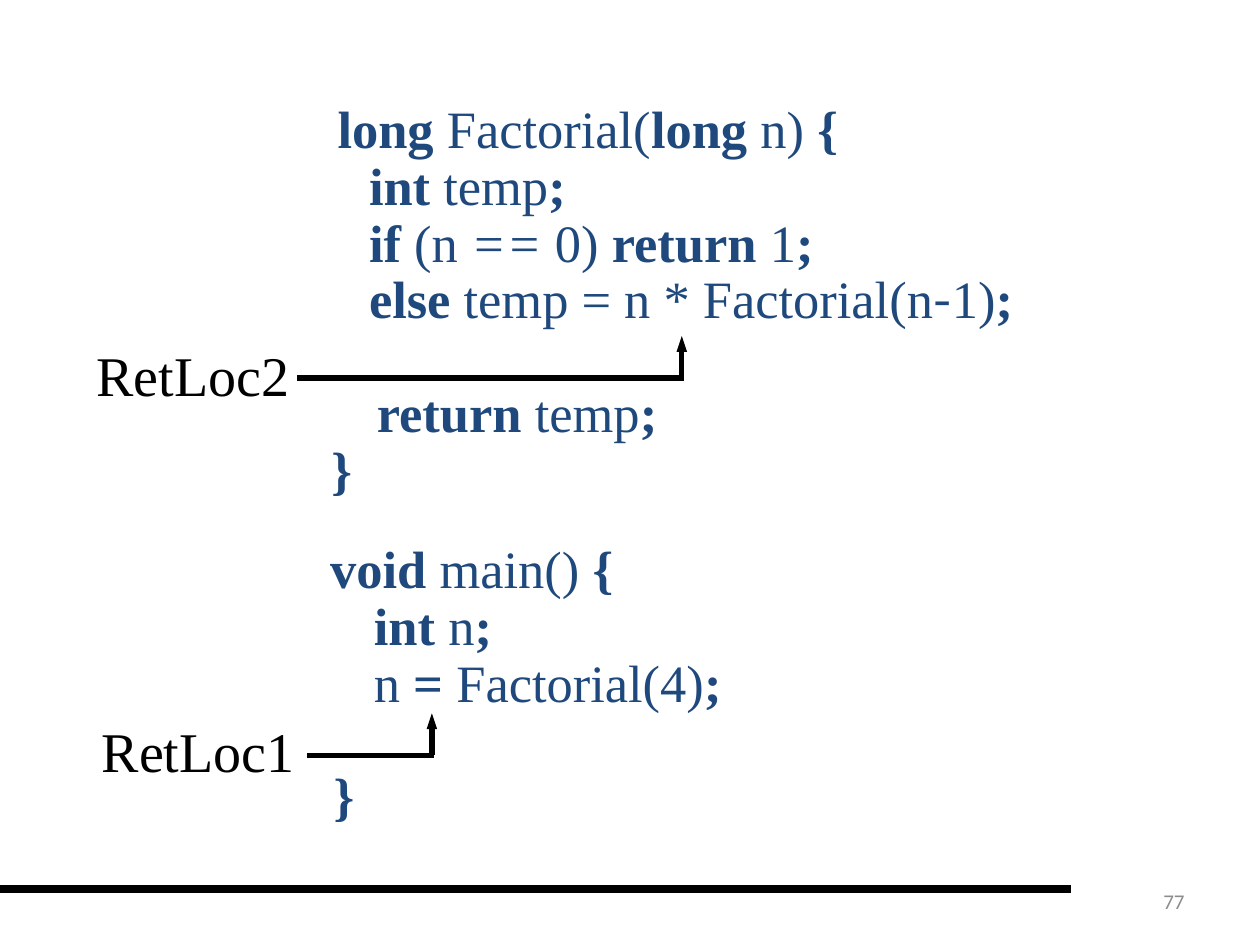
from lxml import etree
from pptx import Presentation
from pptx.dml.color import RGBColor
from pptx.enum import shapes, text
from pptx.oxml.ns import qn
from pptx.util import Pt

BLACK = RGBColor(0, 0, 0)
NAVY = RGBColor(0x1F, 0x49, 0x7D)
GREY = RGBColor(0x8C, 0x8C, 0x8C)
SERIF = "Times New Roman"
LINE_PITCH = 32.4

FACTORIAL = [
    (162, 0, [("long", "b"), (" Factorial(", ""), ("long", "b"), (" n) ", ""), ("{", "b")]),
    (180, 0, [("int", "b"), (" temp", ""), (";", "b")]),
    (180, 0, [("if", "b"), (" (n", ""), (" ==", "i"), (" 0) ", ""), ("return", "b"),
              (" 1", ""), (";", "b")]),
    (180, 0, [("else", "b"), (" temp = n * Factorial(n", ""), ("-", "cjk"),
              ("1)", ""), (";", "b")]),
    (184.5, 1, [("return", "b"), (" temp", ""), (";", "b")]),
    (158.5, 0, [("}", "b")]),
]
MAIN = [
    (148.5, 0, [("void ", "b"), ("main()", ""), (" {", "b")]),
    (173.5, 0, [("int ", "b"), ("n", ""), (";", "b")]),
    (173.5, 0, [("n", ""), (" = ", "b"), ("Factorial(4)", ""), (";", "b")]),
    (150.5, 1, [("}", "b")]),
]


def add_box(page, left, top, width, height, wrap=True):
    box = page.shapes.add_textbox(Pt(left), Pt(top), Pt(width), Pt(height))
    box.text_frame.word_wrap = wrap
    return box.text_frame


def add_span(para, words, size, color, font=SERIF):
    span = para.add_run()
    span.text = words
    span.font.size = Pt(size)
    span.font.name = font
    span.font.color.rgb = color
    return span


def add_code(page, left, top, width, height, inset, lines):
    frame = add_box(page, left, top, width, height)
    frame.margin_top = Pt(inset)
    for index, (indent, skipped, spans) in enumerate(lines):
        para = frame.add_paragraph() if index else frame.paragraphs[0]
        para.line_spacing = Pt(LINE_PITCH)
        if skipped:
            para.space_before = Pt(skipped * LINE_PITCH)
        para._p.get_or_add_pPr().set("marL", str(Pt(indent)))
        for words, style in spans:
            font = "Noto Sans CJK SC" if style == "cjk" else SERIF
            span = add_span(para, words, 30, NAVY, font)
            span.font.bold = style == "b"
            span.font.italic = style == "i"


def add_label(page, left, top, words):
    frame = add_box(page, left, top, 124.6, 45.4, wrap=False)
    add_span(frame.paragraphs[0], words, 32, BLACK)


def add_line(page, start, end, weight, arrow=False):
    line = page.shapes.add_connector(
        shapes.MSO_CONNECTOR.STRAIGHT, *map(Pt, start + end))
    line.line.color.rgb = BLACK
    line.line.width = Pt(weight)
    if arrow:
        etree.SubElement(line.line._get_or_add_ln(), qn("a:tailEnd"),
                         type="triangle", w="sm", len="med")
    etree.SubElement(line._element.spPr, qn("a:effectLst"))


def add_return_path(page, left, corner, level):
    add_line(page, (corner, level), (corner, level - 24), 3, arrow=True)
    add_line(page, (left, level), (corner + 1.2, level), 3)


def add_page_number(page, number):
    frame = add_box(page, 516, 500.4, 168, 28.8)
    frame.vertical_anchor = text.MSO_ANCHOR.MIDDLE
    para = frame.paragraphs[0]
    para.alignment = text.PP_ALIGN.RIGHT
    add_span(para, number, 12, GREY, "Calibri")


def main():
    deck = Presentation()
    deck.slide_width, deck.slide_height = Pt(720), Pt(540)
    page = deck.slides.add_slide(deck.slide_layouts[6])
    add_line(page, (0, 508), (612, 508), 4.5)
    add_page_number(page, "77")
    add_code(page, 23.8, 49.7, 635.8, 240.5, 9, FACTORIAL)
    add_code(page, 33.1, 306, 578.9, 169.2, 4, MAIN)
    add_return_path(page, 170, 389.6, 216)
    add_return_path(page, 175.7, 246.8, 431.6)
    add_label(page, 51.1, 406.1, "RetLoc1")
    add_label(page, 48.2, 190.8, "RetLoc2")
    deck.save("out.pptx")


if __name__ == "__main__":
    main()
